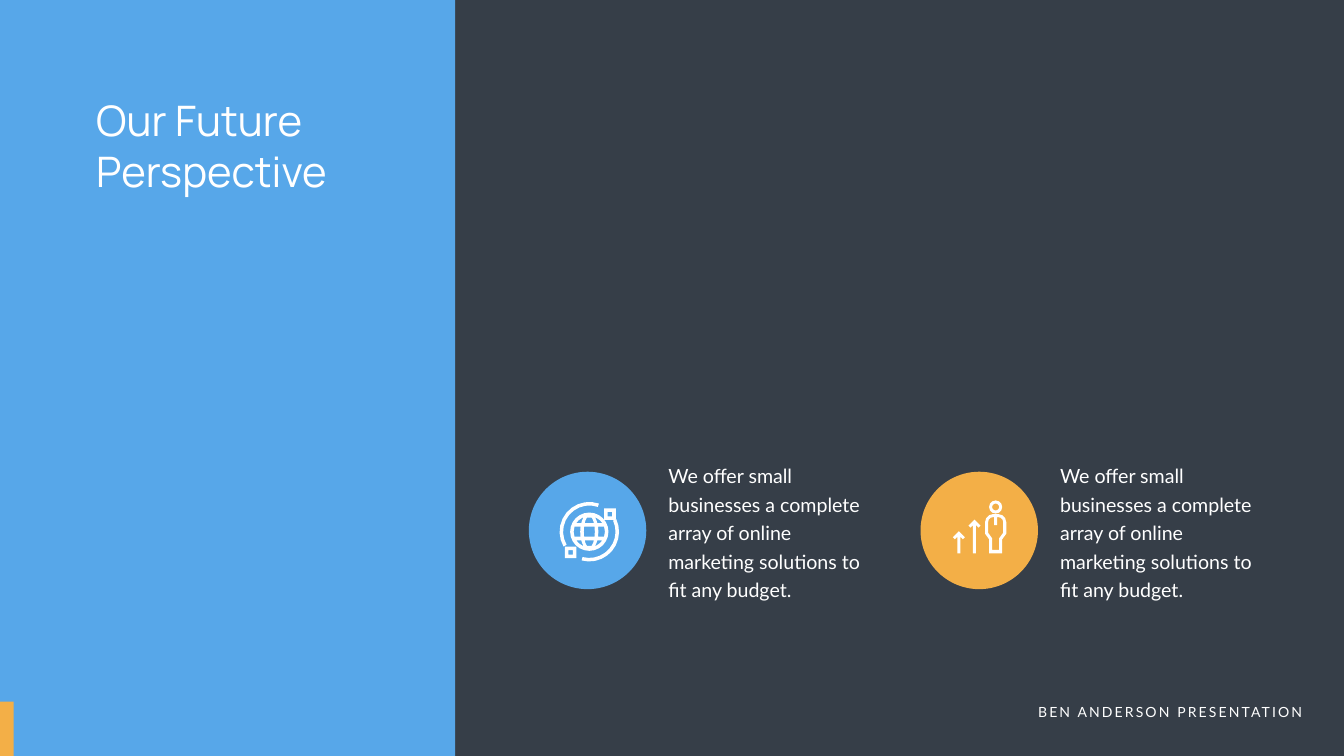
import math

import pptx
import pptx.dml.color
import pptx.enum.shapes
import pptx.enum.text
import pptx.util

# Content: lengths are px, 100 to the inch
PX = 9144
SLIDE_SIZE = (2666, 1500)
BLUE, ORANGE, WHITE, DARK = "57A7E9", "F3AF47", "FFFFFF", "363E48"

PANELS = [((0, 0, 903, 1500), BLUE), ((0, 1392, 27, 108), ORANGE)]
TITLE = ("Our Future Perspective", (181, 183, 555, 212))
FOOTER = ("BEN ANDERSON PRESENTATION", (2008, 1391, 585, 44))
OFFER = "We offer small businesses a complete array of online marketing solutions to fit any budget."
COLUMNS = [(OFFER, BLUE, "globe"), (OFFER, ORANGE, "growth")]
COLUMN_LEFT, COLUMN_STEP, COLUMN_TOP = 1049, 777, 906
CIRCLE_SIZE, CIRCLE_DROP = 233, 30
TEXT_OFFSET, TEXT_SIZE = 267, (427, 292)

GLOBE_CENTER = (1169, 1055)
GLOBE_BANDS = [(-28, -17), (-10, 10), (17, 28)]
# Each window lies between two edges: (horizontal radius, vertical radius)
GLOBE_EDGES = [((-31, 31), (-18, 37)), ((-11, 31), (11, 31)), ((18, 37), (31, 31))]
# Arc start and end in degrees, centre of the square node
ORBITS = [(-25, 105, (1210, 1020)), (150, 289, (1132, 1096))]
PERSON_X = 1975
HEAD_Y = 1006
ARROWS = [(1933, 1031, 1098), (1902, 1054, 1098)]  # tip x, tip y, base y

TITLE_FORMAT = {"size": pptx.util.Pt(60), "name": "Manrope"}
BODY_FORMAT = {"size": pptx.util.Pt(28), "name": "Lato"}
FOOTER_FORMAT = {"size": pptx.util.Pt(20), "name": "Lato"}


def color(value):
    return pptx.dml.color.RGBColor.from_string(value)


def emu(values):
    return [round(value * PX) for value in values]


def paint(shape, fill):
    shape.shadow.inherit = False
    shape.fill.solid()
    shape.fill.fore_color.rgb = color(fill)
    shape.line.fill.background()


def add_preset(shapes, kind, box, fill):
    paint(shapes.add_shape(kind, *emu(box)), fill)


def add_text(shapes, text, box, font_format, paragraph_format, letter_spacing=0):
    frame = shapes.add_textbox(*emu(box)).text_frame
    frame.word_wrap = True
    frame.auto_size = pptx.enum.text.MSO_AUTO_SIZE.SHAPE_TO_FIT_TEXT
    paragraph = frame.paragraphs[0]
    for name, value in paragraph_format.items():
        setattr(paragraph, name, value)
    run = paragraph.add_run()
    run.text = text
    for name, value in font_format.items():
        setattr(run.font, name, value)
    run.font.color.rgb = color(WHITE)
    if letter_spacing:
        run.font._element.set("spc", str(letter_spacing * 100))


def add_outline(shapes, contours):
    """Fill closed contours; a contour inside another is a hole."""
    contours = [[emu(point) for point in contour] for contour in contours]
    builder = shapes.build_freeform(*contours[0][0], scale=1)
    for index, contour in enumerate(contours):
        if index:
            builder.move_to(*contour[0])
        builder.add_line_segments(contour[1:], close=True)
    paint(builder.convert_to_shape(), WHITE)


def arc(center, radius, start, end, steps):
    angles = [math.radians(start + (end - start) * i / steps) for i in range(steps + 1)]
    return [(center[0] + radius * math.cos(a), center[1] + radius * math.sin(a)) for a in angles]


def circle(center, radius, steps):
    return arc(center, radius, 0, 360, steps)[:-1]


def square(center, half):
    x, y = center
    return [(x + dx * half, y + dy * half) for dx, dy in [(-1, -1), (1, -1), (1, 1), (-1, 1)]]


def globe_window(band, left, right):
    def edge(radii):
        return [(GLOBE_CENTER[0] + radii[0] * math.sqrt(1 - (y / radii[1]) ** 2),
                 GLOBE_CENTER[1] + y) for y in (band[0], sum(band) / 2, band[1])]
    return edge(left) + edge(right)[::-1]


def mirrored(half):
    return half + [(2 * PERSON_X - x, y) for x, y in reversed(half)]


def draw_globe(shapes):
    windows = [globe_window(band, *edges) for band in GLOBE_BANDS for edges in GLOBE_EDGES]
    add_outline(shapes, [circle(GLOBE_CENTER, 38, 24)] + windows)
    for start, end, node in ORBITS:
        ring = arc(GLOBE_CENTER, 59, start, end, 10) + arc(GLOBE_CENTER, 52, end, start, 10)
        add_outline(shapes, [ring, square(node, 11.5), square(node, 4.5)])


def draw_growth(shapes):
    # Body, head, then rising arrows
    shoulder = (PERSON_X + 5, 1036)
    outer = arc(shoulder, 16, -90, 0, 3) + [
        (PERSON_X + dx, y) for dx, y in [(21, 1059), (13, 1070), (13, 1098)]]
    inner = [(PERSON_X + 3, 1042), (PERSON_X + 3, 1026)] + arc(shoulder, 10, -90, 0, 3) + [
        (PERSON_X + dx, y) for dx, y in [(15, 1057), (7, 1068), (7, 1091)]]
    add_outline(shapes, [mirrored(outer), mirrored(inner)])
    add_outline(shapes, [circle((PERSON_X, HEAD_Y), radius, 12) for radius in (13, 7)])
    for x, tip, base in ARROWS:
        side = [(0, tip), (12, tip + 12), (8, tip + 16), (3, tip + 11), (3, base)]
        outline = side + [(-dx, y) for dx, y in side[:0:-1]]
        add_outline(shapes, [[(x + dx, y) for dx, y in outline]])


def main():
    presentation = pptx.Presentation()
    presentation.slide_width, presentation.slide_height = emu(SLIDE_SIZE)
    slide = presentation.slides.add_slide(presentation.slide_layouts[6])
    slide.background.fill.solid()
    slide.background.fill.fore_color.rgb = color(DARK)
    preset = pptx.enum.shapes.MSO_SHAPE

    # Side panel, accent and title
    for box, fill in PANELS:
        add_preset(slide.shapes, preset.RECTANGLE, box, fill)
    add_text(slide.shapes, *TITLE, TITLE_FORMAT, {})

    # Columns: text, circle and icon
    icons = {"globe": draw_globe, "growth": draw_growth}
    for index, (text, fill, icon) in enumerate(COLUMNS):
        shapes = slide.shapes.add_group_shape().shapes
        left = COLUMN_LEFT + index * COLUMN_STEP
        add_text(shapes, text, (left + TEXT_OFFSET, COLUMN_TOP, *TEXT_SIZE), BODY_FORMAT,
                 {"line_spacing": pptx.util.Pt(40.8)})
        disc = (left, COLUMN_TOP + CIRCLE_DROP, CIRCLE_SIZE, CIRCLE_SIZE)
        add_preset(shapes, preset.OVAL, disc, fill)
        icons[icon](shapes)

    # Footer
    add_text(slide.shapes, *FOOTER, FOOTER_FORMAT,
             {"alignment": pptx.enum.text.PP_ALIGN.RIGHT}, letter_spacing=3)
    presentation.save("out.pptx")


if __name__ == "__main__":
    main()
